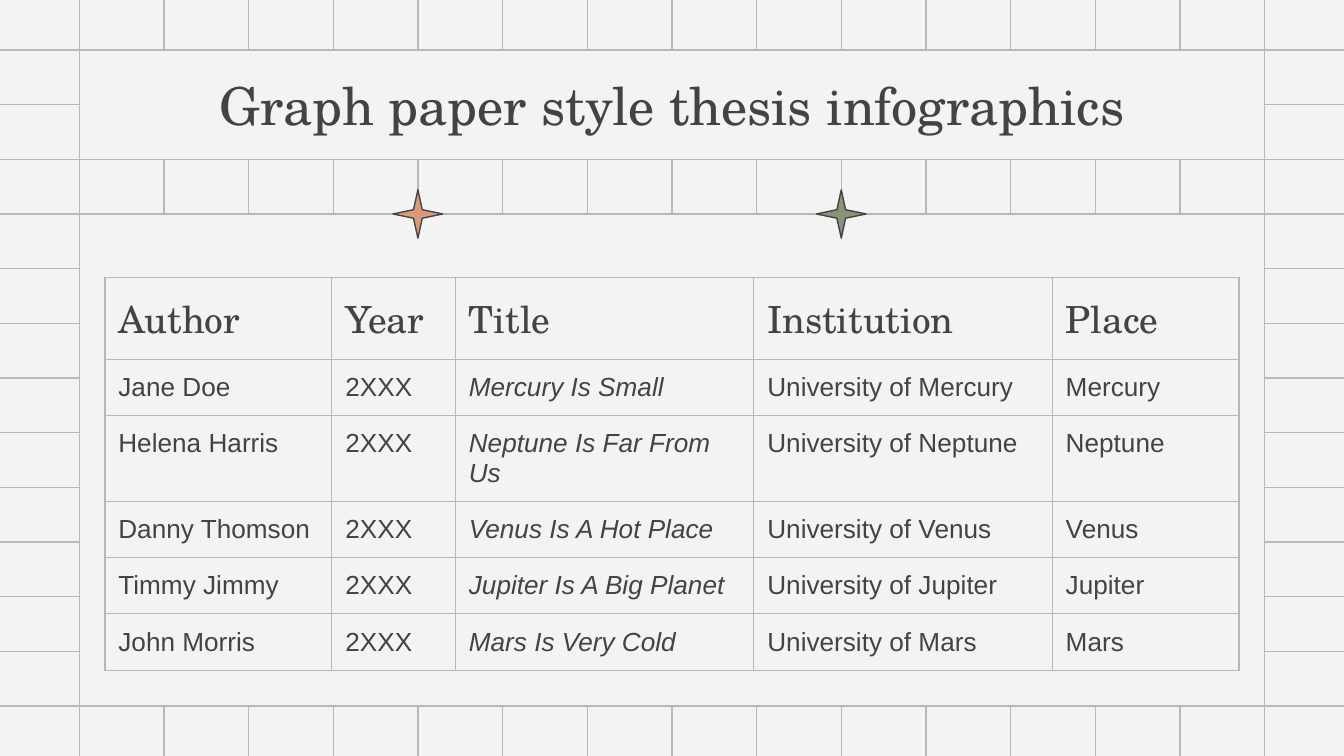
from lxml.etree import SubElement
from pptx import Presentation
from pptx.dml.color import RGBColor
from pptx.enum.shapes import MSO_CONNECTOR as CONNECTOR, MSO_SHAPE as SHAPE
from pptx.enum.text import MSO_ANCHOR as ANCHOR, PP_ALIGN as ALIGN
from pptx.oxml.ns import qn
from pptx.util import Pt

PAPER = RGBColor(0xF3, 0xF3, 0xF3)
GRID = RGBColor(0xB7, 0xB7, 0xB7)
INK = RGBColor(0x43, 0x43, 0x43)
CLAY = RGBColor(0xD9, 0x99, 0x7D)
SAGE = RGBColor(0x85, 0x94, 0x77)

HEADING_FONT, BODY_FONT = "TeX Gyre Schola", "Arial"
LINE_WIDTH = 0.75
INSET = Pt(7.2)
WIDTH, HEIGHT = 720, 405
MID_X, MID_Y = WIDTH / 2, HEIGHT / 2
STEP_X, STEP_Y = 45.36, 29.28

COLUMN_WIDTHS = [121.6, 66.2, 159.9, 159.9, 100]
ITALIC_COLUMN = 2
THESES = [
    ["Author", "Year", "Title", "Institution", "Place"],
    ["Jane Doe", "2XXX", "Mercury Is Small", "University of Mercury", "Mercury"],
    ["Helena Harris", "2XXX", "Neptune Is Far From Us", "University of Neptune", "Neptune"],
    ["Danny Thomson", "2XXX", "Venus Is A Hot Place", "University of Venus", "Venus"],
    ["Timmy Jimmy", "2XXX", "Jupiter Is A Big Planet", "University of Jupiter", "Jupiter"],
    ["John Morris", "2XXX", "Mars Is Very Cold", "University of Mars", "Mars"],
]


def grid_x(column):
    """Position of a vertical grid line, counted from the slide centre."""
    return MID_X + column * STEP_X


def grid_y(row):
    """Position of a horizontal grid line, counted from the slide centre."""
    return MID_Y + row * STEP_Y


def add_grid_line(slide, x1, y1, x2, y2):
    line = slide.shapes.add_connector(CONNECTOR.STRAIGHT, Pt(x1), Pt(y1), Pt(x2), Pt(y2))
    line.line.color.rgb = GRID
    line.line.width = Pt(LINE_WIDTH)
    SubElement(line._element.spPr, qn("a:effectLst"))


def add_graph_paper(slide, left, top, right, bottom):
    """Rule the box in two halves each way, meeting at the slide centre."""
    for y1, y2 in ((top, MID_Y), (MID_Y, bottom)):
        for column in range(-7, 8):
            add_grid_line(slide, grid_x(column), y1, grid_x(column), y2)
    for x1, x2 in ((left, MID_X), (MID_X, right)):
        for row in range(-6, 7):
            add_grid_line(slide, x1, grid_y(row), x2, grid_y(row))


def add_outlined(slide, kind, left, top, width, height, fill, outline):
    shape = slide.shapes.add_shape(kind, Pt(left), Pt(top), Pt(width), Pt(height))
    shape.shadow.inherit = False
    shape.fill.solid()
    shape.fill.fore_color.rgb = fill
    shape.line.color.rgb = outline
    shape.line.width = Pt(LINE_WIDTH)
    return shape


def add_panel(slide, first_row, last_row):
    """Blank out the grid between two of its rows, across all its columns."""
    return add_outlined(slide, SHAPE.RECTANGLE, grid_x(-7), grid_y(first_row),
                        14 * STEP_X, (last_row - first_row) * STEP_Y, PAPER, GRID)


def set_font(paragraph, name, size, italic=False):
    font = paragraph.font
    font.name, font.size, font.italic = name, Pt(size), italic
    font.color.rgb = INK


def add_title(slide, text):
    frame = add_panel(slide, -6, -4).text_frame
    frame.word_wrap = True
    frame.vertical_anchor = ANCHOR.MIDDLE
    frame.margin_left = frame.margin_right = frame.margin_top = frame.margin_bottom = INSET
    heading = frame.paragraphs[0]
    heading.text = text
    heading.alignment = ALIGN.CENTER
    set_font(heading, HEADING_FONT, 28)


def add_star(slide, center_x, center_y, fill):
    width, height = 26.6, 25.9
    star = add_outlined(slide, SHAPE.STAR_4_POINT, center_x - width / 2,
                        center_y - height / 2, width, height, fill, INK)
    star.adjustments[0] = 0.125


def add_borders(cell):
    properties = cell._tc.get_or_add_tcPr()
    for side in ("a:lnL", "a:lnR", "a:lnT", "a:lnB"):
        border = SubElement(properties, qn(side), w=str(Pt(LINE_WIDTH)))
        paint = SubElement(border, qn("a:solidFill"))
        SubElement(paint, qn("a:srgbClr"), val=str(GRID))


def add_thesis_table(slide, left, top, row_height):
    frame = slide.shapes.add_table(len(THESES), len(COLUMN_WIDTHS), Pt(left), Pt(top),
                                   Pt(sum(COLUMN_WIDTHS)), Pt(row_height * len(THESES)))
    table = frame.table
    for column, width in zip(table.columns, COLUMN_WIDTHS):
        column.width = Pt(width)
    for r, entries in enumerate(THESES):
        for c, entry in enumerate(entries):
            cell = table.cell(r, c)
            cell.margin_left = cell.margin_right = cell.margin_top = cell.margin_bottom = INSET
            add_borders(cell)
            cell.fill.background()
            paragraph = cell.text_frame.paragraphs[0]
            paragraph.text = entry
            if r == 0:
                set_font(paragraph, HEADING_FONT, 20)
                paragraph.font.bold = False
            else:
                set_font(paragraph, BODY_FONT, 14, c == ITALIC_COLUMN)


def main():
    deck = Presentation()
    deck.slide_width, deck.slide_height = Pt(WIDTH), Pt(HEIGHT)
    slide = deck.slides.add_slide(deck.slide_layouts[6])
    slide.background.fill.solid()
    slide.background.fill.fore_color.rgb = PAPER

    add_graph_paper(slide, -2.7, -2.2, WIDTH + 2.7, HEIGHT + 2.2)
    add_panel(slide, -3, 6)
    add_title(slide, "Graph paper style thesis infographics")
    add_star(slide, grid_x(-3), grid_y(-3), CLAY)
    add_star(slide, grid_x(2), grid_y(-3), SAGE)
    add_thesis_table(slide, 56.2, 148.6, 30.2)
    deck.save("out.pptx")


if __name__ == "__main__":
    main()
